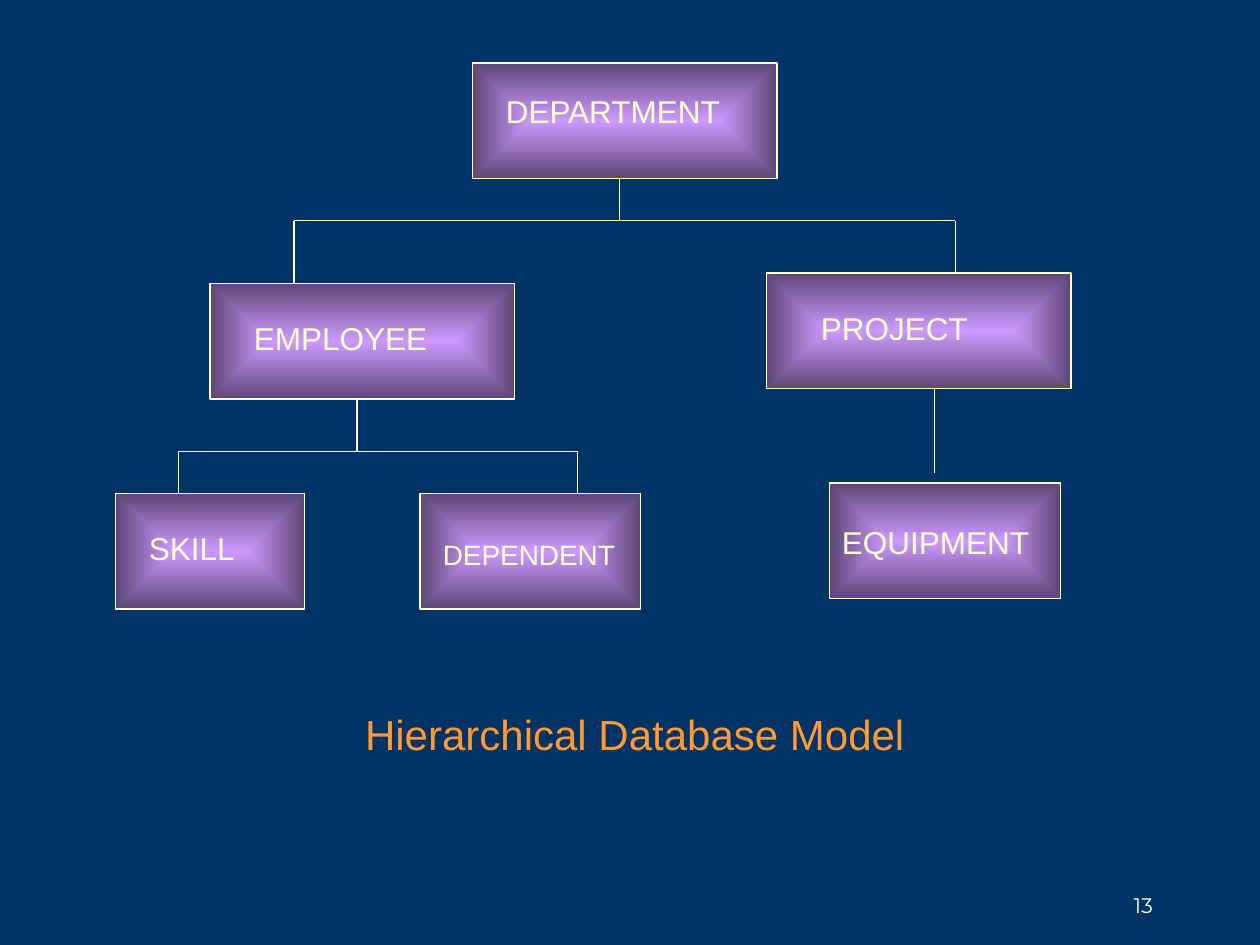
from dataclasses import dataclass

from lxml.etree import SubElement
from pptx import Presentation
from pptx.dml.color import RGBColor
from pptx.enum.shapes import MSO_CONNECTOR, MSO_SHAPE
from pptx.enum.text import MSO_ANCHOR, PP_ALIGN
from pptx.oxml.ns import qn
from pptx.shapes.base import BaseShape
from pptx.slide import Slide
from pptx.util import Pt

COLORS = {
    "background": "003366",
    "cream": "FFFFCC",
    "violet": "CC99FF",
    "plum": "5E4776",
    "orange": "FF9933",
}
BOX_HEIGHT = 66


@dataclass(frozen=True)
class Entity:
    name: str
    left: float
    top: float
    width: float
    label_left: float
    label_top: float
    label_width: float
    size: float = 18


@dataclass(frozen=True)
class Line:
    x1: float
    y1: float
    x2: float
    y2: float


ENTITIES = [
    Entity("DEPARTMENT", 270, 36, 174, 282, 49, 144),
    Entity("EMPLOYEE", 120, 162, 174, 138, 178.8, 138),
    Entity("PROJECT", 438, 156, 174, 462, 172.8, 138),
    Entity("SKILL", 66, 282, 108, 78, 298.8, 84),
    Entity("DEPENDENT", 240, 282, 126, 246, 303.8, 114, 16),
    Entity("EQUIPMENT", 474, 276, 132, 474, 295.2, 126),
]

LINES = [
    Line(168, 126, 546, 126),
    Line(354, 102, 354, 126),
    Line(546, 126, 546, 156),
    Line(168, 126, 168, 162),
    Line(102, 258, 330, 258),
    Line(102, 258, 102, 282),
    Line(330, 258, 330, 282),
    Line(204, 228, 204, 258),
    Line(534, 222, 534, 270),
]


def rgb(name: str) -> RGBColor:
    return RGBColor.from_string(COLORS[name])


def write_text(
    shape: BaseShape,
    text: str,
    *,
    size: float = 18,
    font: str = "Arial",
    color: str = "cream",
    align: PP_ALIGN = PP_ALIGN.LEFT,
    anchor: MSO_ANCHOR = MSO_ANCHOR.TOP,
    margin_left: float = 7.2,
) -> None:
    frame = shape.text_frame
    frame.word_wrap = True
    frame.vertical_anchor = anchor
    frame.margin_left = Pt(margin_left)
    paragraph = frame.paragraphs[0]
    paragraph.text = text
    paragraph.alignment = align
    paragraph.font.size = Pt(size)
    paragraph.font.name = font
    paragraph.font.color.rgb = rgb(color)


def add_box(slide: Slide, entity: Entity) -> None:
    box = slide.shapes.add_shape(
        MSO_SHAPE.FLOWCHART_PROCESS,
        Pt(entity.left), Pt(entity.top), Pt(entity.width), Pt(BOX_HEIGHT),
    )
    box.shadow.inherit = False
    box.line.color.rgb = rgb("cream")
    box.line.width = Pt(1)
    box.fill.gradient()
    for stop, color in zip(box.fill.gradient_stops, ("violet", "plum")):
        stop.color.rgb = rgb(color)
    gradient = box._element.spPr.find(qn("a:gradFill"))
    gradient.remove(gradient.find(qn("a:lin")))
    radial = SubElement(gradient, qn("a:path"), {"path": "rect"})
    SubElement(radial, qn("a:fillToRect"), dict.fromkeys("ltrb", "50000"))


def add_line(slide: Slide, line: Line) -> None:
    connector = slide.shapes.add_connector(
        MSO_CONNECTOR.STRAIGHT, Pt(line.x1), Pt(line.y1), Pt(line.x2), Pt(line.y2)
    )
    connector.line.color.rgb = rgb("cream")
    connector.line.width = Pt(1)
    SubElement(connector._element.spPr, qn("a:effectLst"))


def add_label(slide: Slide, entity: Entity) -> None:
    label = slide.shapes.add_textbox(
        Pt(entity.label_left), Pt(entity.label_top),
        Pt(entity.label_width), Pt(entity.size * 1.2 + 7.2),
    )
    write_text(label, entity.name, size=entity.size)


def main() -> None:
    presentation = Presentation()
    presentation.slide_width, presentation.slide_height = Pt(720), Pt(540)
    slide = presentation.slides.add_slide(presentation.slide_layouts[5])
    slide.background.fill.solid()
    slide.background.fill.fore_color.rgb = rgb("background")

    number = slide.shapes.add_textbox(Pt(516), Pt(492), Pt(150), Pt(36))
    write_text(number, "13", size=12, font="Montserrat",
               align=PP_ALIGN.RIGHT, anchor=MSO_ANCHOR.BOTTOM)

    for entity in ENTITIES:
        add_box(slide, entity)
    for line in LINES:
        add_line(slide, line)
    for entity in ENTITIES:
        add_label(slide, entity)

    title = slide.shapes.title
    title.left, title.top, title.width, title.height = Pt(168), Pt(401), Pt(372), Pt(36)
    write_text(title, "Hierarchical Database Model", size=24, color="orange", margin_left=40.6)

    presentation.save("out.pptx")


if __name__ == "__main__":
    main()
